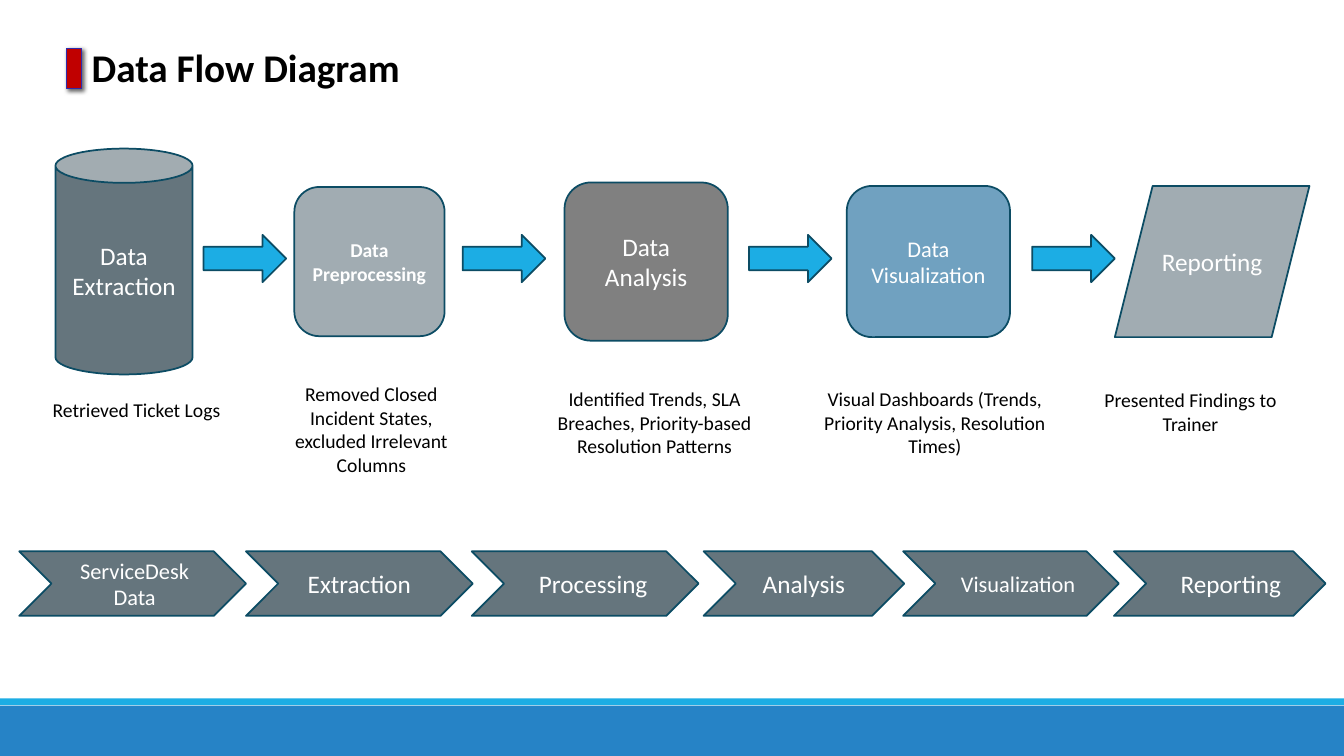
from lxml import etree
from pptx import Presentation
from pptx.dml.color import RGBColor
from pptx.enum.shapes import MSO_SHAPE
from pptx.enum.text import MSO_ANCHOR, MSO_AUTO_SIZE, PP_ALIGN
from pptx.oxml.ns import nsdecls
from pptx.util import Inches, Pt

RECTANGLE = MSO_SHAPE.RECTANGLE
ROUNDED = MSO_SHAPE.ROUNDED_RECTANGLE
CAN = MSO_SHAPE.CAN
PARALLELOGRAM = MSO_SHAPE.PARALLELOGRAM
CHEVRON = MSO_SHAPE.CHEVRON
ARROW = MSO_SHAPE.RIGHT_ARROW
MIDDLE, TOP = MSO_ANCHOR.MIDDLE, MSO_ANCHOR.TOP
CENTER, LEFT = PP_ALIGN.CENTER, PP_ALIGN.LEFT
GROW = MSO_AUTO_SIZE.SHAPE_TO_FIT_TEXT

BLACK = RGBColor(0x00, 0x00, 0x00)
WHITE = RGBColor(0xFF, 0xFF, 0xFF)
SLATE = RGBColor(0x65, 0x75, 0x7D)
SILVER = RGBColor(0xA1, 0xAC, 0xB2)
GRAY = RGBColor(0x80, 0x80, 0x80)
STEEL = RGBColor(0x70, 0xA1, 0xC0)
SKY = RGBColor(0x1C, 0xAD, 0xE4)
BLUE = RGBColor(0x26, 0x83, 0xC6)
OUTLINE = RGBColor(0x0C, 0x4C, 0x64)
RED = RGBColor(0xC0, 0x00, 0x00)
INDIGO = RGBColor(0x2E, 0x2A, 0xAD)

FONT = "Calibri"
WIDTH, HEIGHT = Inches(13.33), Inches(7.5)
COLUMN, ROW = WIDTH / 100, HEIGHT / 100
STAGE_MIDDLE, ARROW_MIDDLE = 34.6, 34.2
ARROW_WIDTH, ARROW_HEIGHT = 6.15, 6.27
CHEVRON_TOP, CHEVRON_HEIGHT = 72.93, 8.53

STAGES = [
    (CAN, 9.23, 10.2, 29.87, SLATE, "Data Extraction", 18, False),
    (ROUNDED, 27.49, 11.18, 19.73, SILVER, "Data\nPreprocessing", 14, True),
    (ROUNDED, 48.08, 12.15, 20.93, GRAY, "Data\nAnalysis", 18, False),
    (ROUNDED, 69.08, 12.15, 20, STEEL, "Data\nVisualization", 16, False),
    (PARALLELOGRAM, 90.19, 14.48, 20, SILVER, "Reporting", 18, False),
]
ARROW_LEFTS = [15.15, 34.43, 55.73, 76.8]
CAPTIONS = [
    (10.16, 52, 17.48, 4.53, "Retrieved Ticket Logs"),
    (27.64, 49.87, 14.33, 13.87,
     "Removed Closed Incident States,\nexcluded Irrelevant Columns"),
    (48.71, 50.53, 17.48, 10.8,
     "Identified Trends, SLA Breaches, Priority-based Resolution Patterns"),
    (69.56, 50.53, 19.43, 10.8,
     "Visual Dashboards (Trends, Priority Analysis, Resolution Times)"),
    (88.58, 50.67, 15.9, 7.6, "Presented Findings to Trainer"),
]
CHEVRONS = [
    (1.43, 16.88, "ServiceDesk\nData", 16, 0.04),
    (18.3, 16.88, "Extraction", 18, 0),
    (35.1, 16.88, "Processing", 18, 0.16),
    (52.35, 14.93, "Analysis", 18, 0),
    (67.2, 16.05, "Visualization", 16, 0.14),
    (82.88, 15.75, "Reporting", 18, 0.22),
]


def grid_box(left, top, width, height):
    """Turn grid columns and rows into slide lengths."""
    return (round(left * COLUMN), round(top * ROW),
            round(width * COLUMN), round(height * ROW))


def write_text(shape, text, size, color, bold=False, align=CENTER, anchor=MIDDLE):
    """Put wrapped, formatted text into a shape."""
    frame = shape.text_frame
    frame.text = text
    frame.word_wrap = True
    frame.vertical_anchor = anchor
    for paragraph in frame.paragraphs:
        paragraph.alignment = align
        for run in paragraph.runs:
            run.font.name = FONT
            run.font.size = Pt(size)
            run.font.bold = bold
            run.font.color.rgb = color


def add_block(slide, kind, box, fill, line=OUTLINE, weight=1.25):
    """Add a filled preset shape, outlined unless line is None."""
    shape = slide.shapes.add_shape(kind, *grid_box(*box))
    shape.shadow.inherit = False
    shape.fill.solid()
    shape.fill.fore_color.rgb = fill
    if line is None:
        shape.line.fill.background()
    else:
        shape.line.color.rgb = line
        shape.line.width = Pt(weight)
    return shape


def add_label(slide, box, text, size, bold=False, align=CENTER):
    """Add a black text box that grows with its text."""
    label = slide.shapes.add_textbox(*grid_box(*box))
    write_text(label, text, size, BLACK, bold, align, TOP)
    label.text_frame.auto_size = GROW


def add_marker(slide):
    """Add the red title marker with its soft shadow."""
    marker = add_block(slide, RECTANGLE, (4.95, 6.4, 1.13, 5.33), RED, INDIGO, 1)
    effects = marker.element.spPr.find("{*}effectLst")
    effects.append(etree.fromstring(
        f'<a:outerShdw {nsdecls("a")} blurRad="{Pt(3)}" dist="{Pt(2)}" '
        'dir="2700000" algn="tl" rotWithShape="0"><a:srgbClr val="000000">'
        '<a:alpha val="60000"/></a:srgbClr></a:outerShdw>'))


def add_stage(slide, kind, center, width, height, fill, text, size, bold):
    """Add one stage of the flow, centred on the stage row."""
    box = (center - width / 2, STAGE_MIDDLE - height / 2, width, height)
    write_text(add_block(slide, kind, box, fill), text, size, WHITE, bold)


def add_step(slide, left, width, text, size, inset):
    """Add one chevron whose text is moved right by an extra inset."""
    box = (left, CHEVRON_TOP, width, CHEVRON_HEIGHT)
    chevron = add_block(slide, CHEVRON, box, SLATE)
    write_text(chevron, text, size, WHITE)
    frame = chevron.text_frame
    frame.margin_left, frame.margin_right = Inches(0.02 + inset), Inches(0.02)
    frame.margin_top = frame.margin_bottom = 0


def main():
    """Build the data flow slide."""
    presentation = Presentation()
    presentation.slide_width, presentation.slide_height = WIDTH, HEIGHT
    slide = presentation.slides.add_slide(presentation.slide_layouts[6])
    add_block(slide, RECTANGLE, (0, 93.33, 100, 6.67), BLUE, None)
    add_block(slide, RECTANGLE, (0, 92.4, 100, 0.87), SKY, None)
    add_label(slide, (6.08, 5.07, 60.17, 7.6), "Data Flow Diagram", 28, True, LEFT)
    add_marker(slide)
    for left in ARROW_LEFTS:
        top = ARROW_MIDDLE - ARROW_HEIGHT / 2
        add_block(slide, ARROW, (left, top, ARROW_WIDTH, ARROW_HEIGHT), SKY)
    for stage in STAGES:
        add_stage(slide, *stage)
    for center, top, width, height, text in CAPTIONS:
        add_label(slide, (center - width / 2, top, width, height), text, 14)
    for step in CHEVRONS:
        add_step(slide, *step)
    presentation.save("out.pptx")


if __name__ == "__main__":
    main()
